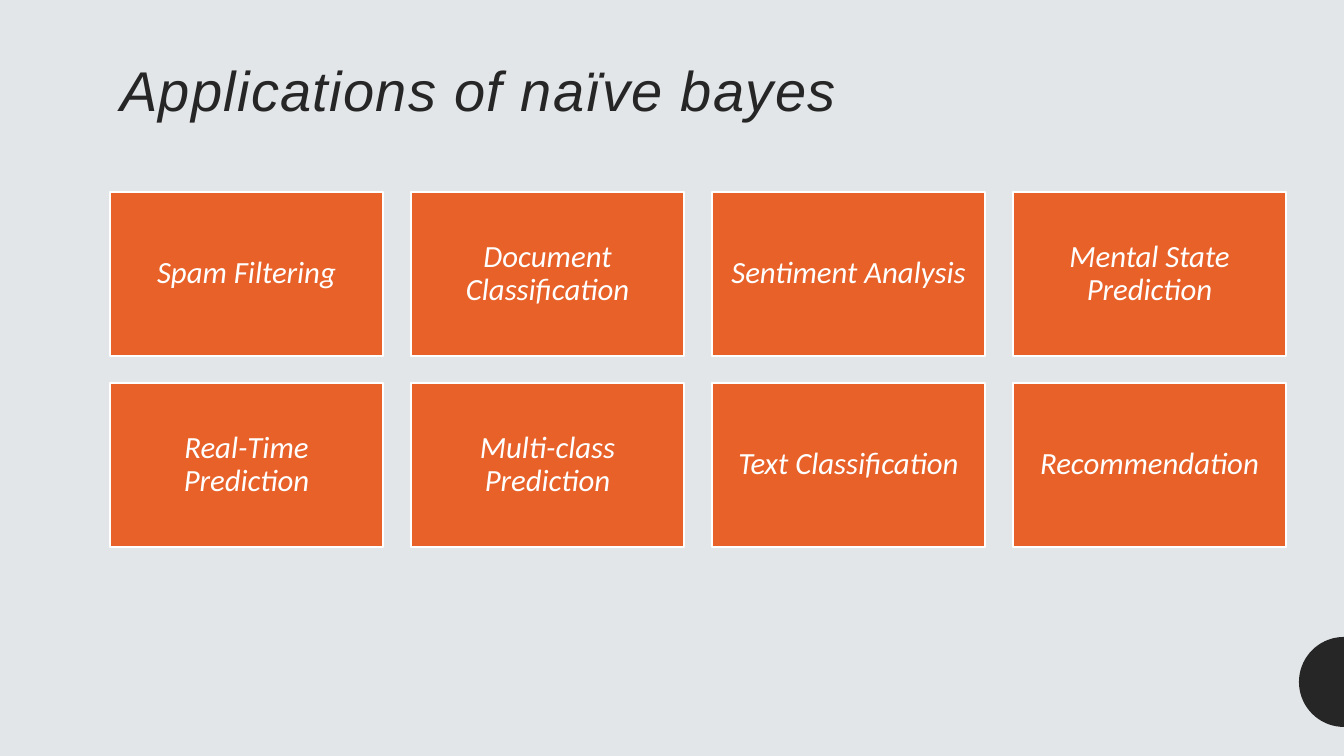
import math

from pptx import Presentation
from pptx.dml.color import RGBColor
from pptx.enum.shapes import MSO_SHAPE
from pptx.enum.text import MSO_ANCHOR, PP_ALIGN
from pptx.util import Pt

RECTANGLE = MSO_SHAPE.RECTANGLE
TOP, MIDDLE = MSO_ANCHOR.TOP, MSO_ANCHOR.MIDDLE
LEFT, CENTER = PP_ALIGN.LEFT, PP_ALIGN.CENTER

EMU_PER_PX = 914400 / 100.8
SLIDE_W, SLIDE_H = 1344, 756

THEME = {
    "background": RGBColor.from_string("E2E6E8"),
    "dark": RGBColor.from_string("262626"),
    "card": RGBColor.from_string("E76129"),
    "white": RGBColor.from_string("FFFFFF"),
    "title_font": "Arial",
    "card_font": "Calibri",
    "title_size": Pt(40),
    "card_size": Pt(22),
}

APPLICATIONS = [
    "Spam Filtering", "Document Classification",
    "Sentiment Analysis", "Mental State Prediction",
    "Real-Time Prediction", "Multi-class Prediction",
    "Text Classification", "Recommendation",
]


def px(length):
    return round(length * EMU_PER_PX)


def write(frame, text, font_name, size, color, align, anchor, inset):
    frame.word_wrap = True
    frame.vertical_anchor = anchor
    frame.margin_left = frame.margin_right = px(inset)
    paragraph = frame.paragraphs[0]
    paragraph.alignment = align
    paragraph.line_spacing = 0.9
    run = paragraph.add_run()
    run.text = text
    run.font.name = font_name
    run.font.size = size
    run.font.italic = True
    run.font.color.rgb = color
    return run


# Slide and background
prs = Presentation()
prs.slide_width, prs.slide_height = px(SLIDE_W), px(SLIDE_H)
slide = prs.slides.add_slide(prs.slide_layouts[5])
slide.background.fill.solid()
slide.background.fill.fore_color.rgb = THEME["background"]

# Half circle on the right edge
RADIUS, CENTER_Y, STEPS = 45, 682, 36
arc = []
for step in range(STEPS + 1):
    angle = math.pi * step / STEPS
    arc.append((px(SLIDE_W - RADIUS * math.sin(angle)),
                px(CENTER_Y - RADIUS * math.cos(angle))))
outline = slide.shapes.build_freeform(*arc[0])
outline.add_line_segments(arc[1:], close=True)
half_circle = outline.convert_to_shape()
half_circle.shadow.inherit = False
half_circle.fill.solid()
half_circle.fill.fore_color.rgb = THEME["dark"]
half_circle.line.fill.background()

# Title
title = slide.shapes.title
title.left, title.top, title.width, title.height = px(110), px(58), px(1176), px(108)
heading = write(title.text_frame, "Applications of naïve bayes", THEME["title_font"],
                THEME["title_size"], THEME["dark"], LEFT, TOP, 10)
heading.font._element.set("spc", "100")

# Grid of application cards
COLUMNS, GRID_LEFT, GRID_TOP = 4, 110, 192
CARD_W, CARD_H, GAP = 273, 164, 27
for index, application in enumerate(APPLICATIONS):
    row, column = divmod(index, COLUMNS)
    card = slide.shapes.add_shape(
        RECTANGLE,
        px(GRID_LEFT + column * (CARD_W + GAP + 1)), px(GRID_TOP + row * (CARD_H + GAP)),
        px(CARD_W), px(CARD_H))
    card.shadow.inherit = False
    card.fill.solid()
    card.fill.fore_color.rgb = THEME["card"]
    card.line.color.rgb = THEME["white"]
    card.line.width = Pt(1)
    write(card.text_frame, application, THEME["card_font"],
          THEME["card_size"], THEME["white"], CENTER, MIDDLE, 9)

prs.save("out.pptx")
